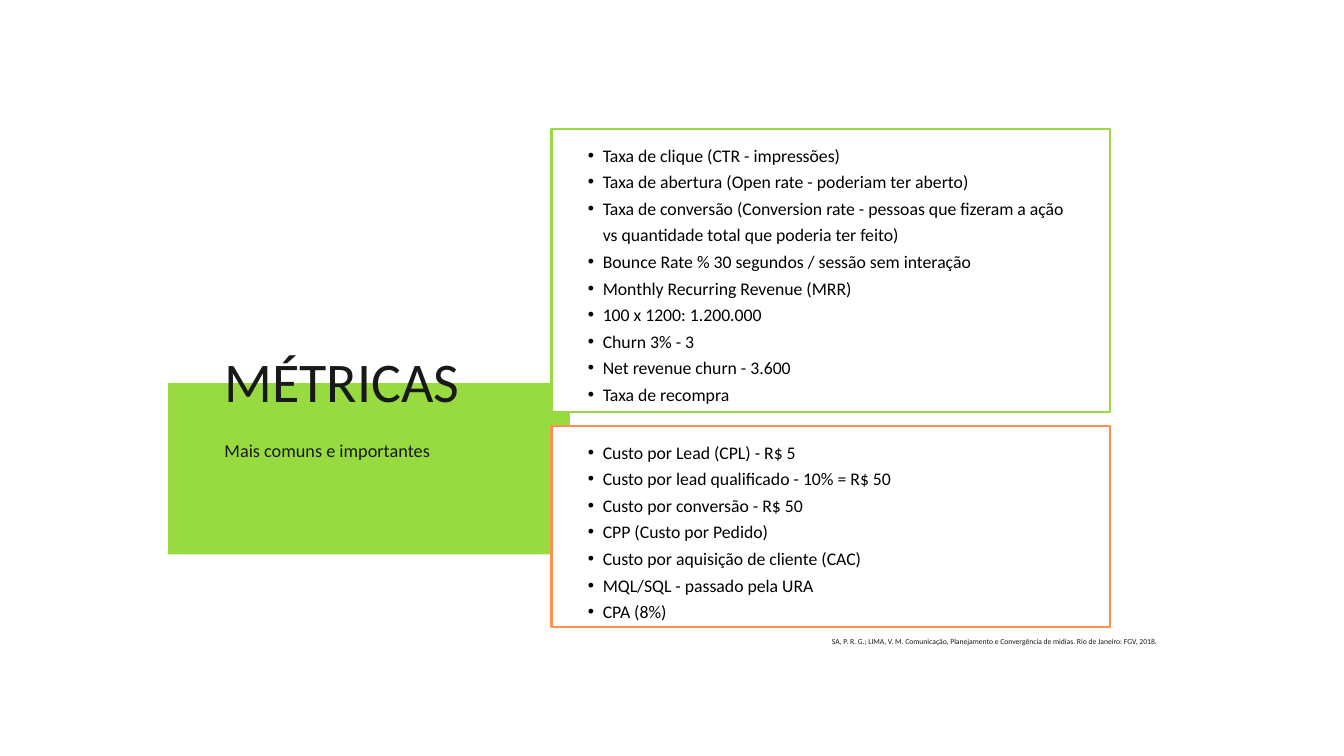
from dataclasses import dataclass

from lxml import etree
from pptx import Presentation
from pptx.dml.color import RGBColor
from pptx.enum.shapes import MSO_SHAPE
from pptx.enum.text import PP_ALIGN
from pptx.oxml.ns import qn
from pptx.util import Emu, Pt

PX = 9144  # 100 px to the inch


@dataclass(frozen=True)
class Theme:
    font: str = "Calibri"
    green: str = "98DB41"
    orange: str = "FF914D"
    white: str = "FFFFFF"
    ink: str = "191919"
    black: str = "000000"
    border: int = 3
    # (type size, line height) in points
    title: tuple = (60, 78)
    subtitle: tuple = (19.5, 23.4)
    item: tuple = (19, 28.5)
    source: tuple = (8.2, 10.7)


T = Theme()

RATES = [
    "Taxa de clique (CTR - impressões)",
    "Taxa de abertura (Open rate - poderiam ter aberto)",
    "Taxa de conversão (Conversion rate - pessoas que fizeram a ação "
    "vs quantidade total que poderia ter feito)",
    "Bounce Rate % 30 segundos / sessão sem interação",
    "Monthly Recurring Revenue (MRR)",
    "100 x 1200: 1.200.000",
    "Churn 3% - 3",
    "Net revenue churn - 3.600",
    "Taxa de recompra",
]
COSTS = [
    "Custo por Lead (CPL) - R$ 5",
    "Custo por lead qualificado - 10% = R$ 50",
    "Custo por conversão - R$ 50",
    "CPP (Custo por Pedido)",
    "Custo por aquisição de cliente (CAC)",
    "MQL/SQL - passado pela URA",
    "CPA (8%)",
]
SOURCE = ("SA, P. R. G.; LIMA, V. M. Comunicação, Planejamento e Convergência "
          "de midias. Rio de Janeiro: FGV, 2018.")


def emu(*lengths):
    return [Emu(n * PX) for n in lengths]


def add_box(s, box, fill, line=None):
    sp = s.shapes.add_shape(MSO_SHAPE.RECTANGLE, *emu(*box))
    sp.shadow.inherit = False
    sp.fill.solid()
    sp.fill.fore_color.rgb = RGBColor.from_string(fill)
    if line:
        sp.line.color.rgb = RGBColor.from_string(line)
        sp.line.width = Pt(T.border)
    else:
        sp.line.fill.background()


def add_bullet(p):
    p.level = 1
    pPr = p._p.get_or_add_pPr()
    left, hang = emu(45, 22)
    pPr.set("marL", str(left))
    pPr.set("indent", str(-hang))
    etree.SubElement(pPr, qn("a:buFont")).set("typeface", "Arial")
    etree.SubElement(pPr, qn("a:buChar")).set("char", "•")


def add_text(s, box, lines, style, color, align=PP_ALIGN.LEFT, bullets=False):
    size, leading = style
    tf = s.shapes.add_textbox(*emu(*box)).text_frame
    frame = dict(word_wrap=True, margin_left=0, margin_top=0,
                 margin_right=0, margin_bottom=0)
    for name, value in frame.items():
        setattr(tf, name, value)
    for i, line in enumerate(lines):
        p = tf.add_paragraph() if i else tf.paragraphs[0]
        if bullets:
            add_bullet(p)
        p.alignment = align
        p.line_spacing = Pt(leading)
        r = p.add_run()
        r.text = line
        for name, value in dict(name=T.font, size=Pt(size)).items():
            setattr(r.font, name, value)
        r.font.color.rgb = RGBColor.from_string(color)


def add_heading_block(s, box):
    x, y, w, h = box
    add_box(s, box, T.green)


def add_heading(s, box):
    x, y, w, h = box
    add_text(s, (x + 84, y - 63, w, 104), ["MÉTRICAS"], T.title, T.ink)
    add_text(s, (x + 84, y + 83, 368, 32), ["Mais comuns e importantes"],
             T.subtitle, T.ink)


def add_panel(s, box, lines, line_color):
    x, y, w, h = box
    add_box(s, box, T.white, line_color)
    add_text(s, (x + 31, y + 15, 740, h - 28), lines, T.item, T.black,
             bullets=True)


def add_source(s, box):
    add_text(s, box, [SOURCE], T.source, T.ink, PP_ALIGN.RIGHT)


def main():
    prs = Presentation()
    prs.slide_width, prs.slide_height = emu(2000, 1125)
    s = prs.slides.add_slide(prs.slide_layouts[6])

    # Green block, behind the panels
    heading = (250, 570, 598, 255)
    add_heading_block(s, heading)

    # Two stacked panels of metrics
    left, top, width, gap = 821, 192, 831, 21
    for lines, height, color in ((RATES, 421, T.green), (COSTS, 299, T.orange)):
        add_panel(s, (left, top, width, height), lines, color)
        top += height + gap

    # Title and subtitle, then the source line
    add_heading(s, heading)
    add_source(s, (637, 947, 1085, 15))

    prs.save("out.pptx")


if __name__ == "__main__":
    main()
